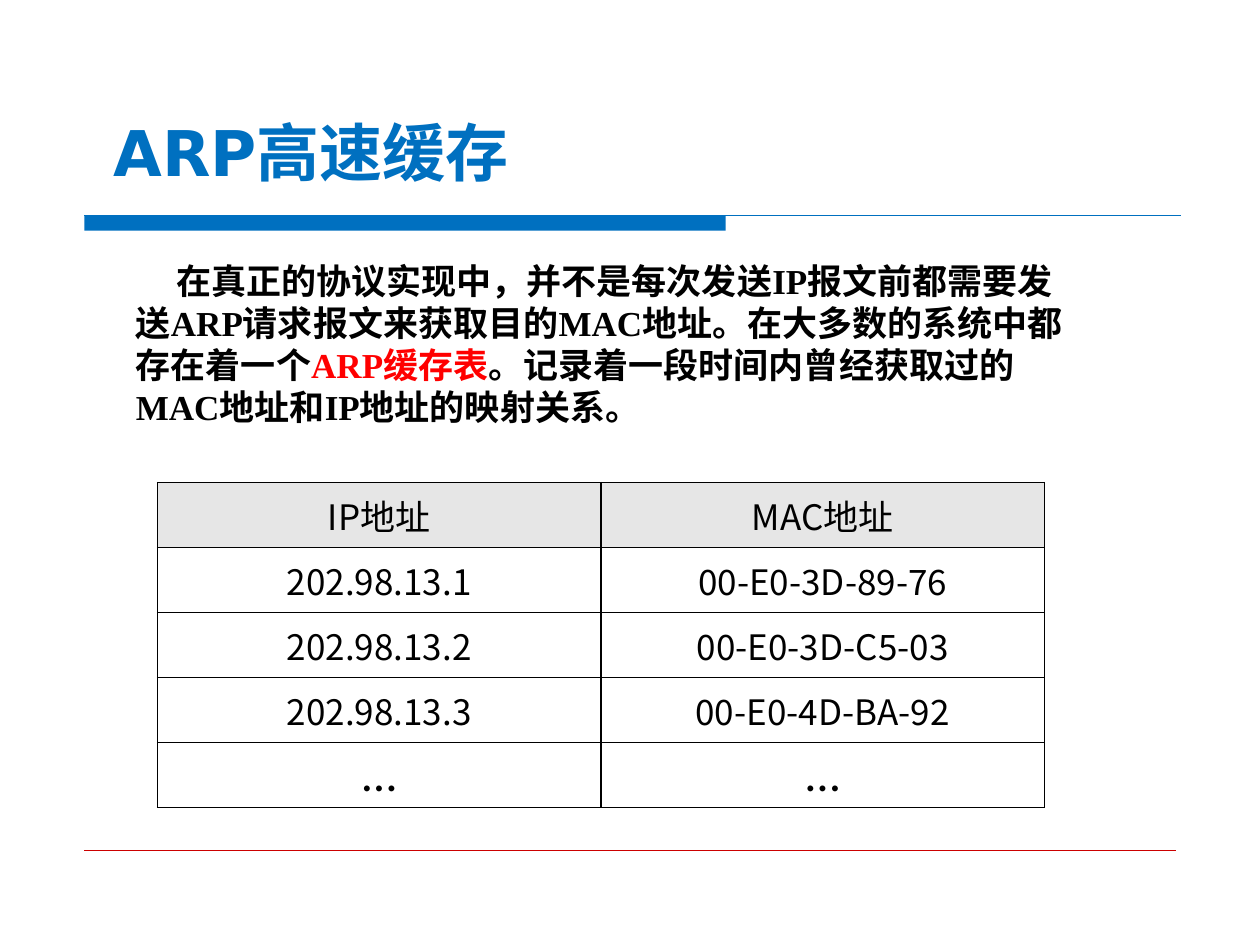
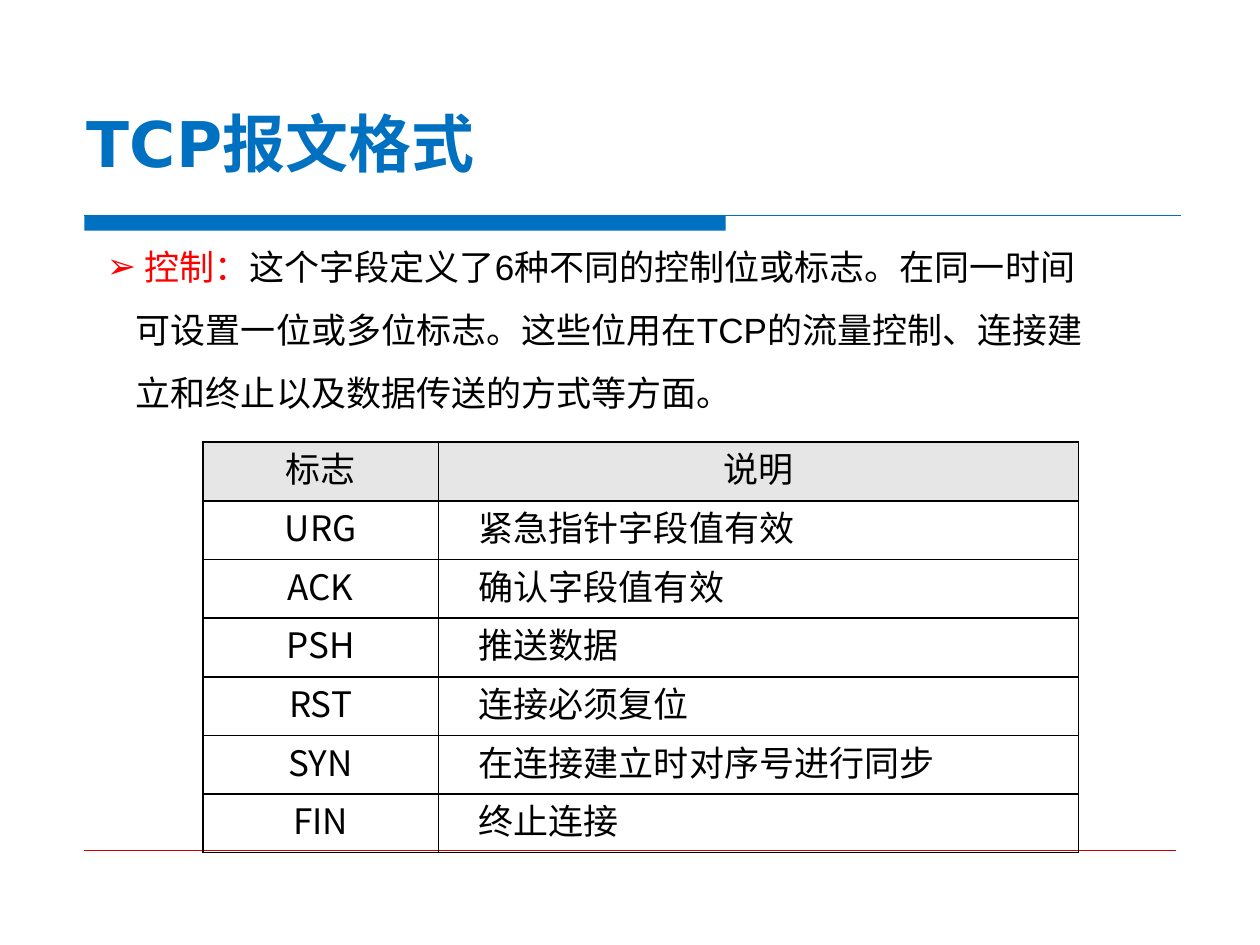
"""Build two network protocol slides: the ARP cache and the TCP control flags."""
from dataclasses import dataclass

from lxml import etree
from pptx import Presentation
from pptx.dml.color import RGBColor
from pptx.enum.shapes import MSO_CONNECTOR, MSO_SHAPE
from pptx.enum.text import MSO_ANCHOR, MSO_AUTO_SIZE, PP_ALIGN
from pptx.oxml import parse_xml
from pptx.oxml.ns import nsdecls, qn
from pptx.util import Inches, Pt

STRAIGHT = MSO_CONNECTOR.STRAIGHT
RECTANGLE = MSO_SHAPE.RECTANGLE
TOP, MIDDLE, BOTTOM = MSO_ANCHOR.TOP, MSO_ANCHOR.MIDDLE, MSO_ANCHOR.BOTTOM
LEFT, CENTER, JUSTIFY = PP_ALIGN.LEFT, PP_ALIGN.CENTER, PP_ALIGN.JUSTIFY
NO_FIT = MSO_AUTO_SIZE.NONE


@dataclass(frozen=True)
class Theme:
    blue: str = "0070C0"
    red: str = "FF0000"
    footer: str = "CC0000"
    ink: str = "000000"
    header: str = "E6E6E6"
    title_font: str = "DejaVu Sans"
    chinese_font: str = "Noto Sans CJK SC"
    table_font: str = "Calibri"
    title_size: int = 36
    body_size: int = 20
    ellipsis_size: int = 28
    leading: float = 1.2


theme = Theme()


def add_span(para, text, font, size, color, bold=False):
    span = para.add_run()
    span.text = text
    span.font.name = font
    span.font.size = Pt(size)
    span.font.bold = bold
    span.font.color.rgb = RGBColor.from_string(color)
    if not text.isascii() and text != "…":
        latin = span.font._element.find(qn("a:latin"))
        east = etree.Element(qn("a:ea"), typeface=theme.chinese_font)
        latin.addnext(east)


def add_rule(page, left, right, top, color, width):
    rule = page.shapes.add_connector(
        STRAIGHT, Inches(left), Inches(top), Inches(right), Inches(top))
    rule.line.color.rgb = RGBColor.from_string(color)
    rule.line.width = Pt(width)
    etree.SubElement(rule._element.spPr, qn("a:effectLst"))


slides = [
    {
        "title": "ARP高速缓存", "title_at": (0.8, 0.3),
        "body_at": (0.98, 2.01, 7.73, 1.78), "body_anchor": TOP,
        "body_bold": True, "body_leading": 1, "margin": 0, "indent": 0.32,
        "bullet": None,
        "body": [
            ("在真正的协议实现中，并不是每次发送IP报文前都需要发送ARP请求报文来获取"
             "目的MAC地址。在大多数的系统中都存在着一个", "Times New Roman", theme.ink),
            ("ARP缓存表", "Times New Roman", theme.red),
            ("。记录着一段时间内曾经获取过的MAC地址和IP地址的映射关系。",
             "Times New Roman", theme.ink),
        ],
        "table_at": (1.25, 3.83), "columns": (3.52, 3.52), "table_height": 2.58,
        "cell_anchor": MIDDLE, "cell_margin": 0, "last_align": CENTER,
        "rows": [
            ("IP 地址", "MAC 地址"),
            ("202.98.13.1", "00-E0-3D-89-76"),
            ("202.98.13.2", "00-E0-3D-C5-03"),
            ("202.98.13.3", "00-E0-4D-BA-92"),
            ("…", "…"),
        ],
    },
    {
        "title": "TCP报文格式", "title_at": (0.59, 0.23),
        "body_at": (0.75, 1.76, 7.97, 1.55), "body_anchor": MIDDLE,
        "body_bold": False, "body_leading": 1.5, "margin": 0.23, "indent": -0.23,
        "bullet": "➢",
        "body": [
            (" 控制：", theme.chinese_font, theme.red),
            ("这个字段定义了6种不同的控制位或标志。在同一时间可设置一位或多位标志。"
             "这些位用在TCP的流量控制、连接建立和终止以及数据传送的方式等方面。",
             "Arial", theme.ink),
        ],
        "table_at": (1.61, 3.51), "columns": (1.87, 5.08), "table_height": 3.26,
        "cell_anchor": TOP, "cell_margin": 0.07, "last_align": JUSTIFY,
        "rows": [
            ("标志", "说明"),
            ("URG", "紧急指针字段值有效"),
            ("ACK", "确认字段值有效"),
            ("PSH", "推送数据"),
            ("RST", "连接必须复位"),
            ("SYN", "在连接建立时对序号进行同步"),
            ("FIN", "终止连接"),
        ],
    },
]

deck = Presentation()
deck.slide_width, deck.slide_height = Inches(10), Inches(7.5)

for content in slides:
    page = deck.slides.add_slide(deck.slide_layouts[5])

    band = page.shapes.add_shape(
        RECTANGLE, Inches(0.67), Inches(1.71), Inches(5.09), Inches(0.12))
    band.shadow.inherit = False
    band.fill.solid()
    band.fill.fore_color.rgb = RGBColor.from_string(theme.blue)
    band.line.fill.background()
    add_rule(page, 0.67, 9.37, 1.71, theme.blue, 0.75)
    add_rule(page, 0.67, 9.33, 6.75, theme.footer, 0.25)

    title = page.shapes.title
    title.left, title.top = [Inches(length) for length in content["title_at"]]
    title.width, title.height = Inches(8.5), Inches(1.25)
    title.text_frame.auto_size = NO_FIT
    title.text_frame.vertical_anchor = BOTTOM
    para = title.text_frame.paragraphs[0]
    para.alignment = LEFT
    para.line_spacing = Pt(theme.title_size * theme.leading)
    add_span(para, content["title"], theme.title_font, theme.title_size,
             theme.blue, True)

    box = page.shapes.add_textbox(*[Inches(length) for length in content["body_at"]])
    box.text_frame.word_wrap = True
    box.text_frame.vertical_anchor = content["body_anchor"]
    para = box.text_frame.paragraphs[0]
    para.line_spacing = Pt(theme.body_size * theme.leading * content["body_leading"])
    properties = para._p.get_or_add_pPr()
    properties.set("marL", str(Inches(content["margin"])))
    properties.set("indent", str(Inches(content["indent"])))
    if content["bullet"]:
        etree.SubElement(properties, qn("a:buFont"), typeface="Arial")
        etree.SubElement(properties, qn("a:buChar"), char=content["bullet"])
    for text, font, color in content["body"]:
        add_span(para, text, font, theme.body_size, color, content["body_bold"])

    rows, columns = content["rows"], content["columns"]
    left, top = content["table_at"]
    table = page.shapes.add_table(
        len(rows), len(columns), Inches(left), Inches(top),
        Inches(sum(columns)), Inches(content["table_height"])).table
    table.first_row = table.horz_banding = False
    for column, width in zip(table.columns, columns):
        column.width = Inches(width)
    for row_index, row in enumerate(rows):
        table.rows[row_index].height = Inches(content["table_height"] / len(rows))
        for column_index, text in enumerate(row):
            cell = table.cell(row_index, column_index)
            cell.vertical_anchor = content["cell_anchor"]
            cell.margin_left = cell.margin_right = Inches(content["cell_margin"])
            cell.margin_top = cell.margin_bottom = 0
            for edge in ("lnL", "lnR", "lnT", "lnB"):
                cell._tc.get_or_add_tcPr().append(parse_xml(
                    f'<a:{edge} {nsdecls("a")} w="{Pt(1)}"><a:solidFill>'
                    f'<a:srgbClr val="{theme.ink}"/></a:solidFill></a:{edge}>'))
            para = cell.text_frame.paragraphs[0]
            para.alignment = CENTER
            if row_index == 0:
                cell.fill.solid()
                cell.fill.fore_color.rgb = RGBColor.from_string(theme.header)
            else:
                cell.fill.background()
                if column_index == len(columns) - 1:
                    para.alignment = content["last_align"]
            if para.alignment == JUSTIFY:
                para._p.get_or_add_pPr().set("indent", str(Inches(0.25)))
            size = theme.ellipsis_size if text == "…" else theme.body_size
            for part in text.split():
                font = theme.chinese_font if part.isascii() else theme.table_font
                add_span(para, part, font, size, theme.ink)

deck.save("out.pptx")
